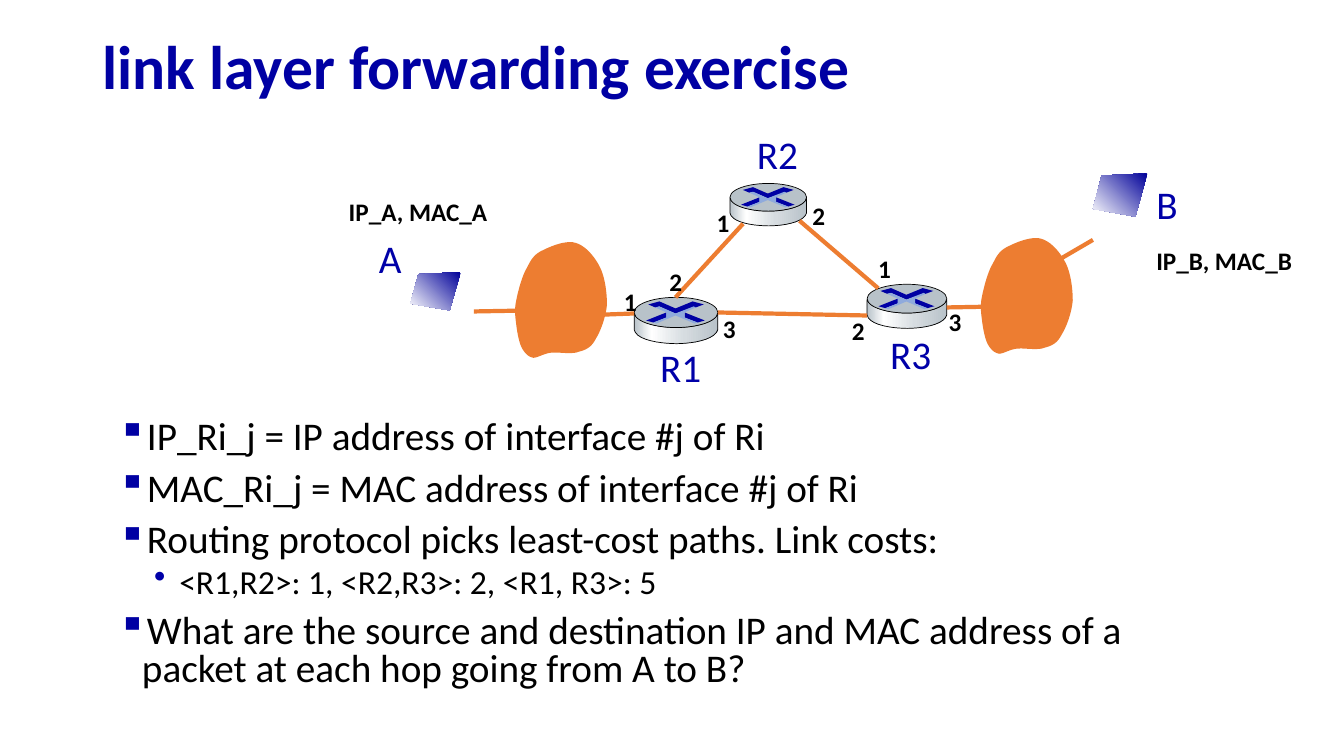
"""Build the link layer forwarding exercise slide."""
from dataclasses import dataclass
from typing import NamedTuple

from lxml.etree import SubElement
from pptx import Presentation
from pptx.dml.color import RGBColor
from pptx.enum.shapes import MSO_CONNECTOR, MSO_SHAPE
from pptx.enum.text import MSO_ANCHOR
from pptx.oxml.ns import qn
from pptx.shapes.autoshape import Shape
from pptx.shapes.shapetree import GroupShapes, SlideShapes
from pptx.slide import Slide
from pptx.util import Inches, Pt

Outline = list[tuple[float, ...]]
Stops = tuple[tuple[int, str], ...]


@dataclass(frozen=True)
class Theme:
    """Colours, font and type sizes of the slide."""
    font: str = "Calibri"
    navy: RGBColor = RGBColor(0x00, 0x00, 0xA3)
    blue: RGBColor = RGBColor(0x00, 0x00, 0xA8)
    black: RGBColor = RGBColor(0x00, 0x00, 0x00)
    orange: RGBColor = RGBColor(0xED, 0x7D, 0x31)
    router_top: RGBColor = RGBColor(0xB8, 0xC2, 0xC9)
    router_cross: RGBColor = RGBColor(0x8F, 0xAA, 0xDC)
    router_side: Stops = ((0, "B8C2C9"), (21, "FFFFFF"), (60, "D6DCE0"), (100, "B8C2C9"))
    host_face: Stops = ((0, "000099"), (100, "FFFFFF"))
    title_size: int = 44
    name_size: int = 28
    detail_size: int = 24
    port_size: int = 18


class Router(NamedTuple):
    """Place and width of a router."""
    left: float
    top: float
    width: float


class Host(NamedTuple):
    """Place and size of a host."""
    left: float
    top: float
    width: float
    height: float


class Link(NamedTuple):
    """End points of a link."""
    start_x: float
    start_y: float
    end_x: float
    end_y: float


class Label(NamedTuple):
    """Words and place of a label."""
    text: str
    left: float
    top: float
    width: float = 0.65


class Bullet(NamedTuple):
    """Words and outline level of a bullet."""
    text: str
    level: int = 0


class BulletStyle(NamedTuple):
    """Look of one outline level."""
    mark: str
    margin: float
    hanging: float
    space_before: int
    size: int
    color: RGBColor


THEME = Theme()
ROUTER_WIDTH, ROUTER_TOP_HEIGHT = 0.83, 0.3
ROUTER_SIDE: Outline = [
    (0.83, 0.16), (0.83, 0.32), (0.8, 0.43, 0.55, 0.46, 0.42, 0.46),
    (0.28, 0.46, 0.02, 0.43, 0, 0.32), (0, 0.16),
    (0.04, 0.26, 0.27, 0.3, 0.41, 0.3), (0.55, 0.3, 0.79, 0.27, 0.83, 0.16)]
ROUTER_MARKS: list[tuple[Outline, RGBColor]] = [
    ([(0.58, 0.04), (0.69, 0.07), (0.61, 0.1), (0.59, 0.1), (0.41, 0.16), (0.25, 0.09),
      (0.21, 0.1), (0.14, 0.07), (0.25, 0.04), (0.41, 0.11)], THEME.navy),
    ([(0.5, 0.15), (0.7, 0.23), (0.63, 0.25), (0.5, 0.2)], THEME.navy),
    ([(0.32, 0.15), (0.32, 0.2), (0.19, 0.25), (0.12, 0.23)], THEME.blue),
    ([(0.21, 0.1), (0.25, 0.09), (0.41, 0.16), (0.59, 0.09), (0.61, 0.1), (0.5, 0.15),
      (0.5, 0.2), (0.63, 0.25), (0.6, 0.26), (0.41, 0.18), (0.22, 0.26), (0.19, 0.25),
      (0.32, 0.2), (0.32, 0.15)], THEME.router_cross)]
CLOUD: Outline = [
    (0.29, 0.1), (0.2, 0.14, 0.17, 0.19, 0.13, 0.27), (0.08, 0.35, 0.04, 0.5, 0.02, 0.6),
    (0, 0.69, 0.01, 0.76, 0.02, 0.84), (0.03, 0.92, 0.05, 1.03, 0.08, 1.08),
    (0.11, 1.13, 0.14, 1.16, 0.19, 1.17), (0.23, 1.17, 0.29, 1.13, 0.36, 1.12),
    (0.44, 1.11, 0.57, 1.14, 0.64, 1.11), (0.72, 1.09, 0.77, 1.06, 0.81, 0.98),
    (0.86, 0.9, 0.91, 0.76, 0.92, 0.64), (0.92, 0.52, 0.9, 0.37, 0.85, 0.27),
    (0.8, 0.17, 0.71, 0.06, 0.61, 0.03), (0.52, 0, 0.37, 0.06, 0.29, 0.1)]
HOST: Outline = [(1, 0), (0.16, 0.05), (0, 0.82), (0.78, 1)]

ROUTERS = [Router(7.24, 1.82, 0.76), Router(8.6, 2.82, 0.79), Router(6.29, 2.95, 0.83)]
CLOUDS = [(5.1, 2.38), (9.72, 2.34)]
HOSTS = [Host(4.07, 2.7, 0.5, 0.38), Host(10.84, 1.72, 0.54, 0.43)]
LINKS = [
    Link(7.37, 2.22, 6.7, 2.95), Link(8.71, 2.86, 7.93, 2.19), Link(8.6, 3.13, 7.12, 3.1),
    Link(6.29, 3.11, 5.75, 3.13), Link(5.25, 3.08, 4.7, 3.09),
    Link(10.84, 2.38, 10.36, 2.66), Link(9.94, 3.04, 9.39, 3.05)]
NAMES = [
    Label("A", 3.66, 2.28, 0.94), Label("B", 11.37, 1.74, 0.57), Label("R1", 6.45, 3.36, 0.94),
    Label("R2", 7.41, 1.24, 0.94), Label("R3", 8.73, 3.23, 0.94)]
PORTS = [
    Label("1", 6.09, 2.79), Label("2", 6.54, 2.59), Label("3", 7.07, 3.06), Label("1", 7.01, 2.01),
    Label("2", 7.96, 1.94), Label("2", 8.35, 3.08), Label("1", 8.61, 2.46), Label("3", 9.31, 2.99)]
ADDRESSES = [Label("IP_A, MAC_A", 3.36, 1.9, 1.59), Label("IP_B, MAC_B", 11.37, 2.38, 1.56)]
BULLETS = [
    Bullet("IP_Ri_j = IP address of interface #j of Ri"),
    Bullet("MAC_Ri_j = MAC address of interface #j of Ri"),
    Bullet("Routing protocol picks least-cost paths. Link costs:"),
    Bullet("<R1,R2>: 1, <R2,R3>: 2, <R1, R3>: 5", 1),
    Bullet("What are the source and destination IP and MAC address of a "
           "packet at each hop going from A to B?")]
BULLET_STYLES = [BulletStyle("▪", 0.39, -0.24, 10, THEME.name_size, THEME.navy),
                 BulletStyle("•", 0.76, -0.25, 5, THEME.detail_size, THEME.blue)]


def flatten(outline: Outline, steps: int = 10) -> list[tuple[float, float]]:
    """Turn an outline of corners and cubic curves into points."""
    points = [outline[0]]
    for segment in outline[1:]:
        if len(segment) == 2:
            points.append(segment)
            continue
        controls = (points[-1], segment[:2], segment[2:4], segment[4:])
        for step in range(1, steps + 1):
            t = step / steps
            weights = ((1 - t) ** 3, 3 * t * (1 - t) ** 2, 3 * t * t * (1 - t), t ** 3)
            points.append(tuple(sum(weight * control[axis] for weight, control
                                    in zip(weights, controls)) for axis in (0, 1)))
    return points


def draw_outline(shapes: SlideShapes | GroupShapes, outline: Outline, left: float, top: float,
                 scale_x: float = 1, scale_y: float = 1) -> Shape:
    """Draw a closed outline without line or shadow."""
    points = [(Inches(left + x * scale_x), Inches(top + y * scale_y)) for x, y in flatten(outline)]
    builder = shapes.build_freeform(*points[0])
    builder.add_line_segments(points[1:], close=True)
    shape = builder.convert_to_shape()
    shape.shadow.inherit = False
    shape.line.fill.background()
    return shape


def fill_solid(shape: Shape, color: RGBColor) -> None:
    """Fill a shape with one colour."""
    shape.fill.solid()
    shape.fill.fore_color.rgb = color


def fill_gradient(shape: Shape, stops: Stops, angle: float) -> None:
    """Fill a shape with a linear gradient, its angle counter-clockwise."""
    shape.fill.gradient()
    shape.fill.gradient_angle = angle
    stop_list = next(shape._element.iter(qn("a:gsLst")))
    for stop in list(stop_list):
        stop_list.remove(stop)
    for position, color in stops:
        stop = SubElement(stop_list, qn("a:gs"), pos=str(position * 1000))
        SubElement(stop, qn("a:srgbClr"), val=color)


def draw_router(slide: Slide, router: Router) -> None:
    """Draw a router as a group."""
    shapes = slide.shapes.add_group_shape().shapes
    scale = router.width / ROUTER_WIDTH
    side = draw_outline(shapes, ROUTER_SIDE, router.left, router.top, scale, scale)
    fill_gradient(side, THEME.router_side, 0)
    lid = shapes.add_shape(MSO_SHAPE.OVAL, Inches(router.left), Inches(router.top),
                           Inches(router.width), Inches(ROUTER_TOP_HEIGHT * scale))
    lid.shadow.inherit = False
    fill_solid(lid, THEME.router_top)
    for shape in (side, lid):
        shape.line.color.rgb = THEME.black
        shape.line.width = Pt(0.5)
    for outline, color in ROUTER_MARKS:
        fill_solid(draw_outline(shapes, outline, router.left, router.top, scale, scale), color)


def draw_link(slide: Slide, link: Link) -> None:
    """Draw a link between two devices."""
    connector = slide.shapes.add_connector(MSO_CONNECTOR.STRAIGHT, *map(Inches, link))
    connector.line.color.rgb = THEME.orange
    connector.line.width = Pt(3)
    SubElement(connector._element.spPr, qn("a:effectLst"))


def add_box(slide: Slide, left: float, top: float, width: float, height: float) -> Shape:
    """Add an empty wrapping text box."""
    box = slide.shapes.add_textbox(Inches(left), Inches(top), Inches(width), Inches(height))
    box.text_frame.word_wrap = True
    return box


def add_run(paragraph, text: str, size: int, color: RGBColor, bold: bool = False) -> None:
    """Add a styled run to a paragraph."""
    run = paragraph.add_run()
    run.text = text
    run.font.name, run.font.size, run.font.bold = THEME.font, Pt(size), bold
    run.font.color.rgb = color


def draw_label(slide: Slide, label: Label, size: int, color: RGBColor, bold: bool = False) -> None:
    """Draw a one-line label."""
    box = add_box(slide, label.left, label.top, label.width, 0.4 if bold else 0.57)
    box.text_frame.word_wrap = label not in ADDRESSES
    add_run(box.text_frame.paragraphs[0], label.text, size, color, bold)


def draw_title(slide: Slide) -> None:
    """Draw the slide title."""
    frame = add_box(slide, 0.92, 0.2, 11.5, 0.98).text_frame
    frame.vertical_anchor = MSO_ANCHOR.MIDDLE
    frame.paragraphs[0].line_spacing = 0.9
    add_run(frame.paragraphs[0], "link layer forwarding exercise", THEME.title_size, THEME.navy, True)


def draw_bullets(slide: Slide) -> None:
    """Draw the exercise text."""
    frame = add_box(slide, 0.92, 4.12, 11.3, 2.89).text_frame
    for index, bullet in enumerate(BULLETS):
        style = BULLET_STYLES[bullet.level]
        paragraph = frame.add_paragraph() if index else frame.paragraphs[0]
        properties = paragraph._p.get_or_add_pPr()
        properties.set("marL", str(Inches(style.margin)))
        properties.set("indent", str(Inches(style.hanging)))
        SubElement(SubElement(properties, qn("a:buClr")), qn("a:srgbClr"), val=str(style.color))
        SubElement(properties, qn("a:buChar"), char=style.mark)
        paragraph.level = bullet.level
        paragraph.line_spacing = 0.8
        paragraph.space_before = Pt(style.space_before if index else 0)
        add_run(paragraph, bullet.text, style.size, THEME.black)


def main() -> None:
    """Build and save the presentation."""
    presentation = Presentation()
    presentation.slide_width, presentation.slide_height = Inches(13.33), Inches(7.5)
    slide = presentation.slides.add_slide(presentation.slide_layouts[6])
    draw_title(slide)
    for router in ROUTERS:
        draw_router(slide, router)
    for link in LINKS:
        draw_link(slide, link)
    for left, top in CLOUDS:
        fill_solid(draw_outline(slide.shapes, CLOUD, left, top), THEME.orange)
    for host in HOSTS:
        fill_gradient(draw_outline(slide.shapes, HOST, *host), THEME.host_face, 225)
    for label in NAMES:
        draw_label(slide, label, THEME.name_size, THEME.blue)
    for label in PORTS + ADDRESSES:
        draw_label(slide, label, THEME.port_size, THEME.black, True)
    draw_bullets(slide)
    presentation.save("out.pptx")


if __name__ == "__main__":
    main()
